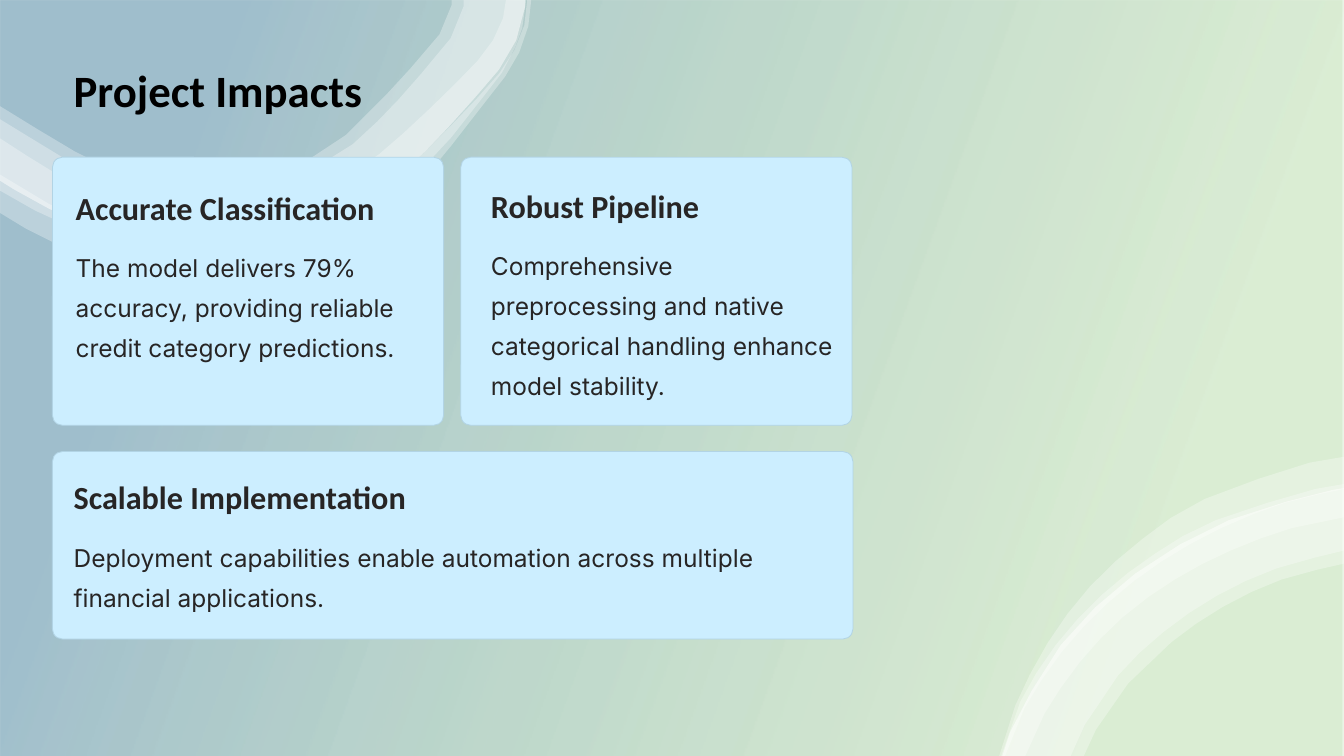
"""Build the Project Impacts slide: three cards over a soft gradient with ribbons."""
from dataclasses import dataclass
from math import dist

from lxml.etree import SubElement
from pptx import Presentation
from pptx.dml.color import RGBColor
from pptx.enum.shapes import MSO_SHAPE
from pptx.oxml.ns import qn
from pptx.util import Emu, Pt

EMU_PER_PX = 9144
LONGEST_CHORD = 60
Point = tuple[float, float]
Edge = list[Point]


@dataclass(frozen=True)
class Theme:
    green: str = "4EA72E"
    blue: str = "156082"
    ribbon: str = "FFFFFF"
    card: str = "CCEEFF"
    card_line: str = "B2D4E5"
    title: str = "000000"
    text: str = "272525"
    heading_font: str = "Calibri"
    body_font: str = "Inter"
    title_size: float = 32
    heading_size: float = 23
    body_size: float = 17.5
    title_leading: float = 58.5
    heading_leading: float = 29
    body_leading: float = 28.5


@dataclass(frozen=True)
class Box:
    left: int
    top: int
    width: int
    height: int

    def emu(self) -> tuple[Emu, Emu, Emu, Emu]:
        return px(self.left), px(self.top), px(self.width), px(self.height)


@dataclass(frozen=True)
class TextStyle:
    font: str
    size: float
    leading: float
    color: str
    bold: bool = True
    wrap: bool = True


@dataclass(frozen=True)
class Card:
    box: Box
    text_left: int
    text_top: int
    text_width: int
    body_lines: int
    heading: str
    body: str


@dataclass(frozen=True)
class Ribbon:
    near: Edge
    far: Edge


THEME = Theme()
SLIDE = Box(0, 0, 1333, 750)
CARD_RADIUS = 10
BODY_OFFSET = 56
HEADING_HEIGHT = 41
BODY_LINE_HEIGHT = 40
TITLE_STYLE = TextStyle(THEME.heading_font, THEME.title_size, THEME.title_leading, THEME.title)
HEADING_STYLE = TextStyle(THEME.heading_font, THEME.heading_size, THEME.heading_leading,
                          THEME.text, wrap=False)
BODY_STYLE = TextStyle(THEME.body_font, THEME.body_size, THEME.body_leading,
                       THEME.text, bold=False)

CARDS = [
    Card(Box(52, 156, 388, 266), 75, 185, 350, 3, "Accurate Classification",
         "The model delivers 79% accuracy, providing reliable credit category predictions."),
    Card(Box(457, 156, 388, 266), 487, 183, 350, 4, "Robust Pipeline",
         "Comprehensive preprocessing and native categorical handling enhance model stability."),
    Card(Box(52, 448, 794, 186), 73, 472, 775, 2, "Scalable Implementation",
         "Deployment capabilities enable automation across multiple financial applications."),
]

TOP_OUTER_EDGE = [
    (-2, 178), (14, 188), (93, 227), (187, 244), (269, 236), (337, 212), (395, 175),
    (445, 126), (471, 97), (495, 69), (512, 40), (521, 6), (521, -1)]
TOP_RIBBONS = [
    Ribbon([(523, -1), (520, 25), (510, 50), (495, 73), (445, 127), (392, 177), (343, 209),
            (286, 230), (225, 239), (162, 239), (103, 226), (48, 202), (-2, 172)],
           [(-2, 210), (26, 227), (88, 255), (158, 270), (229, 269), (298, 256), (360, 229),
            (410, 190), (448, 144), (483, 99), (501, 76), (515, 52), (524, 26), (527, -1)]),
    Ribbon([(502, -1), (499, 18), (489, 40), (474, 60), (425, 109), (376, 153), (332, 184),
            (282, 207), (225, 217), (167, 216), (113, 201), (63, 177), (-2, 136)],
           [(-2, 188), (35, 209), (95, 234), (161, 248), (229, 246), (294, 234), (356, 213),
            (408, 179), (448, 136), (481, 94), (498, 72), (511, 47), (518, 28), (522, -1)]),
    Ribbon([(460, -1), (460, 6), (447, 38), (417, 74), (395, 99), (350, 143), (302, 173),
            (248, 190), (187, 196), (108, 180), (29, 136), (-2, 117)],
           TOP_OUTER_EDGE),
    Ribbon([(448, -1), (448, 5), (436, 34), (407, 68), (384, 93), (343, 134), (299, 163),
            (247, 180), (187, 186), (115, 171), (37, 128), (-2, 104)],
           TOP_OUTER_EDGE),
]

CORNER_OUTER_EDGE = [
    (994, 750), (1002, 726), (1052, 640), (1126, 569), (1219, 516), (1322, 486), (1334, 484)]
CORNER_RIBBONS = [
    Ribbon([(991, 750), (1007, 700), (1039, 638), (1081, 582), (1134, 534), (1195, 495),
            (1299, 459), (1334, 453)],
           [(1334, 485), (1274, 499), (1211, 524), (1152, 557), (1099, 598), (1053, 647),
            (1016, 703), (997, 750)]),
    Ribbon(CORNER_OUTER_EDGE,
           [(1334, 559), (1271, 575), (1213, 602), (1162, 637), (1119, 678), (1087, 724),
            (1075, 750)]),
    Ribbon([(993, 750), (1012, 696), (1047, 640), (1093, 590), (1146, 549), (1206, 516),
            (1305, 485), (1334, 480)],
           [(1334, 513), (1281, 524), (1221, 546), (1165, 575), (1114, 612), (1071, 657),
            (1036, 708), (1017, 750)]),
    Ribbon(CORNER_OUTER_EDGE,
           [(1334, 546), (1266, 564), (1207, 591), (1154, 627), (1109, 670), (1076, 719),
            (1062, 750)]),
]


def px(length: float) -> Emu:
    return Emu(round(length * EMU_PER_PX))


def set_alphas(shape, percents: list[int]) -> None:
    colors = shape.element.spPr.iter(qn("a:srgbClr"))
    for color, percent in zip(colors, percents):
        SubElement(color, qn("a:alpha"), val=str(percent * 1000))


def smooth(edge: Edge) -> Edge:
    padded = [edge[0], *edge, edge[-1]]
    curve = []
    for a, b, c, d in zip(padded, padded[1:], padded[2:], padded[3:]):
        curve.append(b)
        if dist(b, c) > LONGEST_CHORD:
            curve.append(tuple((9 * (q + r) - p - s) / 16 for p, q, r, s in zip(a, b, c, d)))
    return [*curve, edge[-1]]


def add_background(slide) -> None:
    shape = slide.shapes.add_shape(MSO_SHAPE.RECTANGLE, *SLIDE.emu())
    shape.shadow.inherit = False
    shape.line.fill.background()
    shape.fill.gradient()
    shape.fill.gradient_angle = 160
    stops = zip(shape.fill.gradient_stops, [(0.16, THEME.green), (0.85, THEME.blue)])
    for stop, (position, color) in stops:
        stop.position = position
        stop.color.rgb = RGBColor.from_string(color)
    set_alphas(shape, [20, 40])


def add_ribbons(slide, ribbons: list[Ribbon]) -> None:
    group = slide.shapes.add_group_shape()
    for ribbon in ribbons:
        start, *rest = [(px(x), px(y)) for x, y in smooth(ribbon.near) + smooth(ribbon.far)]
        builder = group.shapes.build_freeform(*start)
        builder.add_line_segments(rest, close=True)
        shape = builder.convert_to_shape()
        shape.shadow.inherit = False
        shape.line.fill.background()
        shape.fill.solid()
        shape.fill.fore_color.rgb = RGBColor.from_string(THEME.ribbon)
        set_alphas(shape, [30])


def add_text(slide, box: Box, text: str, style: TextStyle) -> None:
    frame = slide.shapes.add_textbox(*box.emu()).text_frame
    frame.word_wrap = style.wrap
    frame.margin_left = frame.margin_right = frame.margin_top = frame.margin_bottom = 0
    paragraph = frame.paragraphs[0]
    paragraph.line_spacing = Pt(style.leading)
    run = paragraph.add_run()
    run.text = text
    run.font.name = style.font
    run.font.size = Pt(style.size)
    run.font.bold = style.bold
    run.font.color.rgb = RGBColor.from_string(style.color)


def add_card(slide, card: Card) -> None:
    shape = slide.shapes.add_shape(MSO_SHAPE.ROUNDED_RECTANGLE, *card.box.emu())
    shape.adjustments[0] = CARD_RADIUS / card.box.height
    shape.shadow.inherit = False
    shape.fill.solid()
    shape.fill.fore_color.rgb = RGBColor.from_string(THEME.card)
    shape.line.color.rgb = RGBColor.from_string(THEME.card_line)
    shape.line.width = Pt(0.6)
    left, top, width = card.text_left, card.text_top, card.text_width
    add_text(slide, Box(left, top, width, HEADING_HEIGHT), card.heading, HEADING_STYLE)
    body_box = Box(left, top + BODY_OFFSET, width, card.body_lines * BODY_LINE_HEIGHT)
    add_text(slide, body_box, card.body, BODY_STYLE)


def main() -> None:
    presentation = Presentation()
    presentation.slide_width, presentation.slide_height = px(SLIDE.width), px(SLIDE.height)
    slide = presentation.slides.add_slide(presentation.slide_layouts[6])
    add_background(slide)
    for ribbons in (TOP_RIBBONS, CORNER_RIBBONS):
        add_ribbons(slide, ribbons)
    add_text(slide, Box(73, 34, 826, 84), "Project Impacts", TITLE_STYLE)
    for card in CARDS:
        add_card(slide, card)
    presentation.save("out.pptx")


if __name__ == "__main__":
    main()
